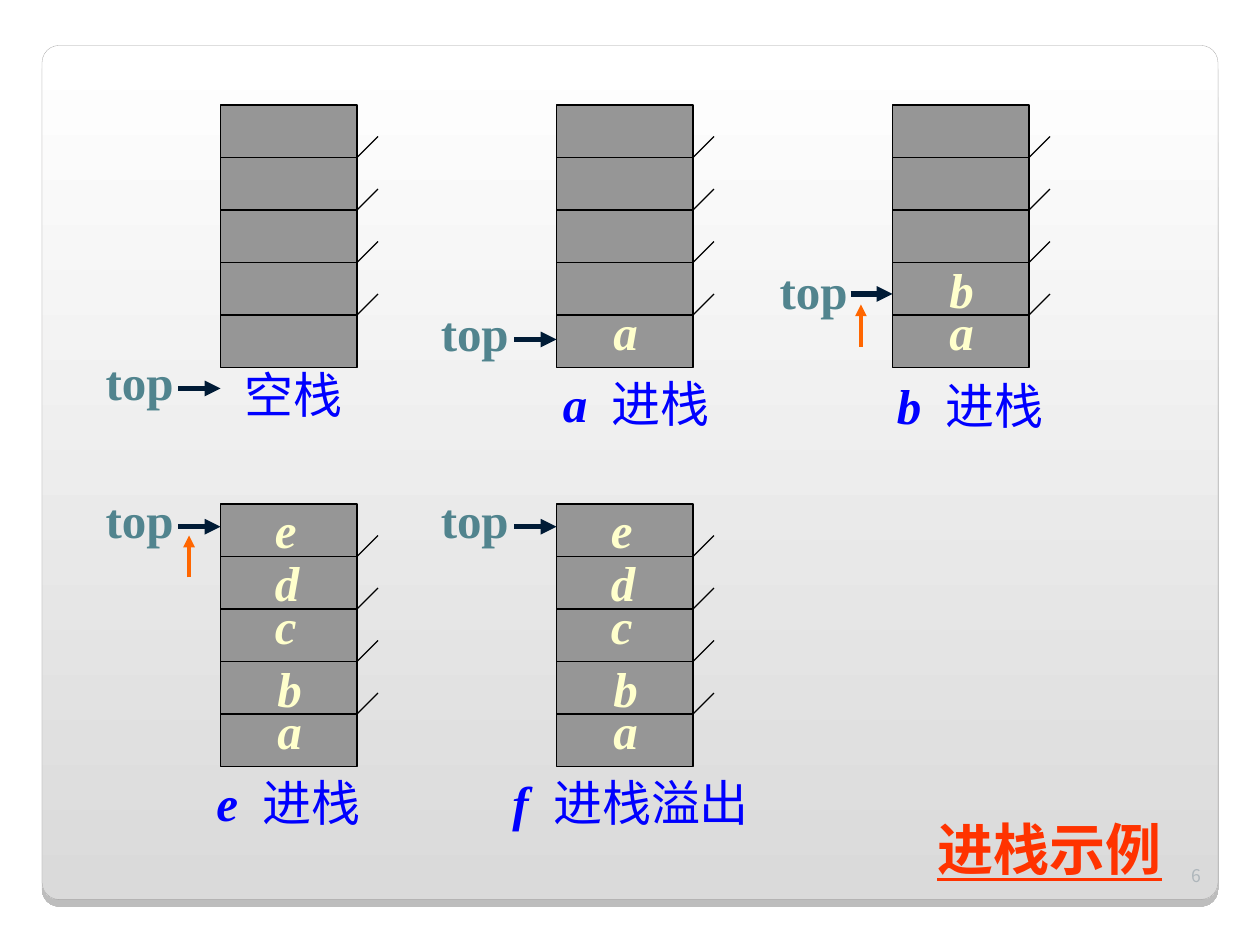
"""Build a slide showing a stack through successive push operations."""
import pptx
import pptx.dml.color
import pptx.enum.shapes
import pptx.enum.text
import pptx.oxml
import pptx.oxml.ns
import pptx.util

Pt = pptx.util.Pt
RGB = pptx.dml.color.RGBColor.from_string
SHAPE = pptx.enum.shapes.MSO_SHAPE
ALIGN = pptx.enum.text.PP_ALIGN
ANCHOR = pptx.enum.text.MSO_ANCHOR
NS = pptx.oxml.ns.nsdecls("a")
SERIF, SANS = "Times New Roman", "Noto Sans CJK SC"
COLORS = {
    "panel_top": "FFFFFF", "panel_bottom": "DADADA", "panel_line": "A4A3A3",
    "cell": "969696", "line": "000000", "pointer": "001B36", "move": "FF6600",
    "top": "51848E", "caption": "0000FF", "item": "FFFFCC",
    "title": "FF3300", "number": "AEB6BB",
}

prs = pptx.Presentation()
prs.slide_width, prs.slide_height = Pt(720), Pt(540)
s = prs.slides.add_slide(prs.slide_layouts[5])


def add_line(x1, y1, x2, y2, color="line", width=0.75, arrow=False):
    cxn = s.shapes.add_connector(
        pptx.enum.shapes.MSO_CONNECTOR.STRAIGHT, Pt(x1), Pt(y1), Pt(x2), Pt(y2))
    cxn.line.color.rgb = RGB(COLORS[color])
    cxn.line.width = Pt(width)
    if arrow:
        cxn.line._get_or_add_ln().append(
            pptx.oxml.parse_xml(f'<a:tailEnd {NS} type="triangle"/>'))
    cxn._element.spPr.append(pptx.oxml.parse_xml(f"<a:effectLst {NS}/>"))


def put_text(box, runs, color, size=28, font=SERIF, sp=None):
    sp = sp or s.shapes.add_textbox(0, 0, 0, 0)
    sp.left, sp.top, sp.width, sp.height = (Pt(v) for v in box)
    tf = sp.text_frame
    tf.word_wrap = False
    tf.auto_size = pptx.enum.text.MSO_AUTO_SIZE.NONE
    tf.vertical_anchor = ANCHOR.TOP
    p = tf.paragraphs[0]
    p.alignment = ALIGN.LEFT
    for text, bold, italic in runs:
        r = p.add_run()
        r.text = text
        r.font.name, r.font.size = font, Pt(size)
        r.font.bold, r.font.italic = bold, italic
        r.font.color.rgb = RGB(COLORS[color])
        rPr = r.font._element
        rPr.append(pptx.oxml.parse_xml(f'<a:ea {NS} typeface="{SANS}"/>'))
        if text.endswith(" "):
            rPr.set("spc", "350")
    return sp


panel = s.shapes.add_shape(SHAPE.ROUNDED_RECTANGLE, Pt(24), Pt(26), Pt(672), Pt(488))
panel.adjustments[0] = 0.02
panel.fill.gradient()
panel.fill.gradient_angle = 270
for stop, name in zip(panel.fill.gradient_stops, ("panel_top", "panel_bottom")):
    stop.color.rgb = RGB(COLORS[name])
panel.line.color.rgb = RGB(COLORS["panel_line"])
panel.line.width = Pt(0.17)
panel._element.spPr.append(pptx.oxml.parse_xml(
    f'<a:effectLst {NS}><a:outerShdw blurRad="0" dist="50800" dir="5400000">'
    '<a:srgbClr val="000000"><a:alpha val="25000"/></a:srgbClr>'
    '</a:outerShdw></a:effectLst>'))
s.shapes._spTree.remove(panel._element)
s.shapes._spTree.insert(2, panel._element)

STACK_W, CELL_H, CELLS, TICK = 78, 30, 5, 12
item_pos = {"a": (25.5, 108.5), "b": (25.5, 84.5), "c": (24, 49),
            "d": (24, 24), "e": (24, -6)}
stacks = [
    (126, 60, "", 222, (53.3, 197.3), "", "空栈", (132.5, 205, 70)),
    (318, 60, "a", 194, (244.8, 169.2), "a ", "进栈", (314.6, 210, 98)),
    (510, 60, "ab", 168, (438.5, 145.4), "b ", "进栈", (505.4, 211, 98)),
    (126, 288, "abcde", 301, (53.3, 276), "e ", "进栈", (116.6, 437.8, 96.5)),
    (318, 288, "abcde", 301, (244.8, 276), "f ", "进栈溢出", (285.8, 437.8, 149)),
]
for x, y, items, top_y, label, letter, action, caption in stacks:
    sp = s.shapes.add_shape(SHAPE.RECTANGLE, Pt(x), Pt(y), Pt(STACK_W), Pt(CELLS * CELL_H))
    sp.shadow.inherit = False
    sp.fill.solid()
    sp.fill.fore_color.rgb = RGB(COLORS["cell"])
    sp.line.color.rgb = RGB(COLORS["line"])
    sp.line.width = Pt(0.75)
    right = x + STACK_W
    for i in range(1, CELLS):
        row_y = y + i * CELL_H
        add_line(x, row_y, right, row_y)
        add_line(right, row_y, right + TICK, row_y - TICK)
    put_text((*label, 53, 41), [("top", True, False)], "top")
    add_line(x - 24, top_y, x, top_y, "pointer", 3, True)
    for item in items:
        dx, dy = item_pos[item]
        put_text((x + dx, y + dy, 28, 41), [(item, True, True)], "item")
    runs = [(letter, True, True)] if letter else []
    put_text((*caption, 41), runs + [(action, False, False)], "caption")

for x, y in ((492, 198), (108, 330)):
    add_line(x, y, x, y - 24, "move", 2.25, True)

title = put_text((528.5, 462, 142.6, 46), [("进栈示例", True, False)], "title", 32,
                 sp=s.shapes.title)
title.text_frame.paragraphs[0].runs[0].font.underline = True

number = put_text((657.4, 481, 36, 28.8), [("6", False, False)], "number", 10, SANS)
number.text_frame.word_wrap = True
number.text_frame.vertical_anchor = ANCHOR.BOTTOM
number.text_frame.paragraphs[0].alignment = ALIGN.RIGHT

prs.save("out.pptx")
